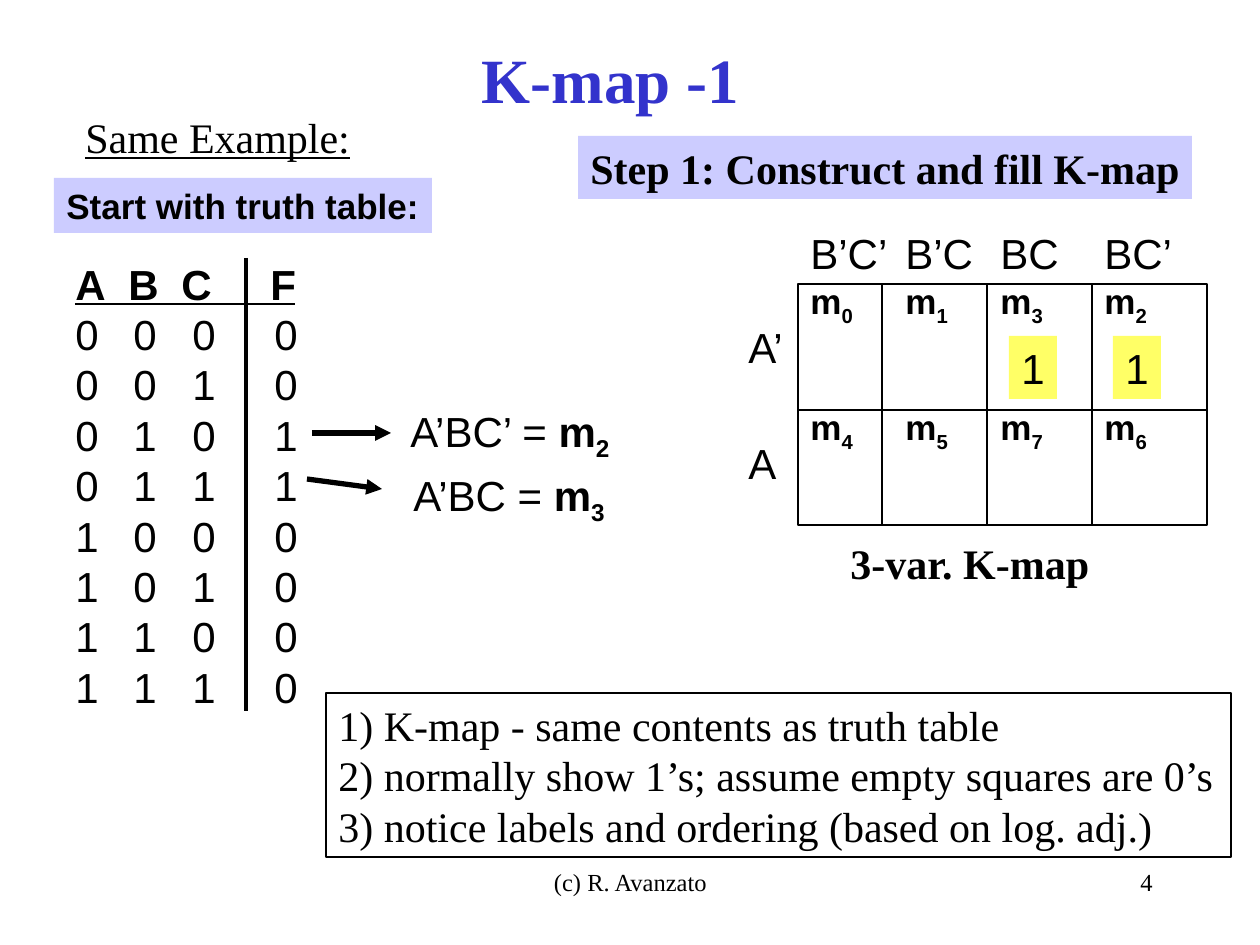
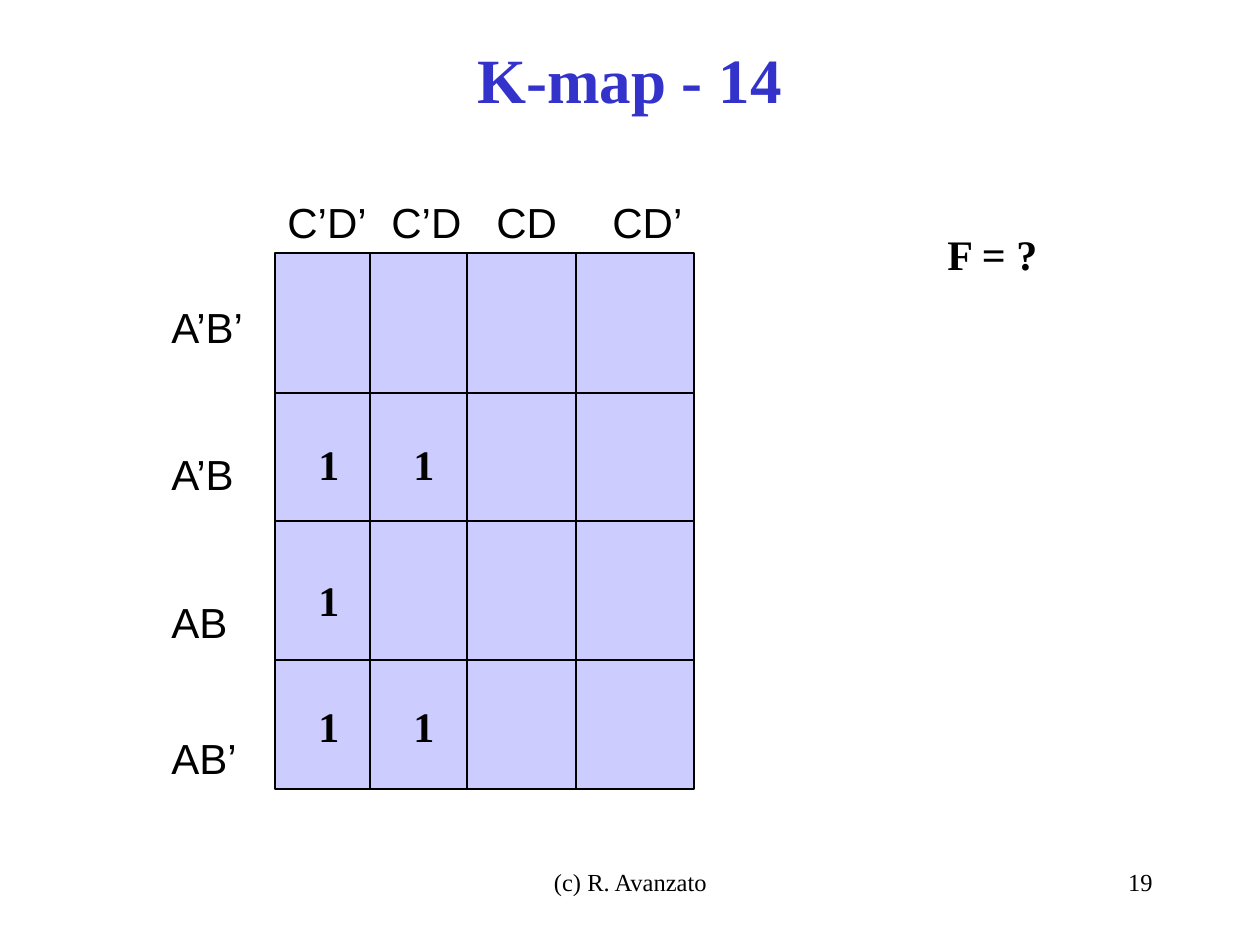
from lxml import etree
from pptx import Presentation
from pptx.dml.color import RGBColor
from pptx.enum.shapes import MSO_CONNECTOR, MSO_SHAPE
from pptx.enum.text import MSO_ANCHOR, MSO_AUTO_SIZE, PP_ALIGN
from pptx.oxml.ns import qn
from pptx.util import Emu, Pt

PIXEL = 914400 / 126
BLANK_LAYOUT = 6

BLACK = RGBColor(0x00, 0x00, 0x00)
TITLE_BLUE = RGBColor(0x33, 0x33, 0xCC)
LAVENDER = RGBColor(0xCC, 0xCC, 0xFF)
YELLOW = RGBColor(0xFF, 0xFF, 0x66)

SERIF = "Times New Roman"
SANS = "Arial"
THIN = 0.74
LINE_PITCH = 1.2
LABEL_HEIGHT = 63

LEFT, CENTER, RIGHT = PP_ALIGN.LEFT, PP_ALIGN.CENTER, PP_ALIGN.RIGHT
MIDDLE = MSO_ANCHOR.MIDDLE
FIT_SHAPE = MSO_AUTO_SIZE.SHAPE_TO_FIT_TEXT
RECTANGLE = MSO_SHAPE.RECTANGLE
STRAIGHT = MSO_CONNECTOR.STRAIGHT


def px(length):
    return Emu(round(length * PIXEL))


# Text

def style_paragraph(para, size=24, face=SANS, bold=False, underline=False,
                    color=BLACK, align=LEFT):
    para.alignment = align
    para.line_spacing = Pt(size * LINE_PITCH)
    font = para.font
    font.size, font.name = Pt(size), face
    font.bold, font.underline = bold, underline
    font.color.rgb = color


def write_lines(box, text, **style):
    """Fill a box that is as large as its text, one paragraph a line."""
    frame = box.text_frame
    frame.text = text
    frame.word_wrap = False
    frame.auto_size = FIT_SHAPE
    for para in frame.paragraphs:
        style_paragraph(para, **style)
    return frame


def add_label(page, text, left, top, width, height=LABEL_HEIGHT, **style):
    box = page.shapes.add_textbox(px(left), px(top), px(width), px(height))
    return write_lines(box, text, **style)


def add_minterm(page, prefix, index, left, top, width, size=24):
    """Write an optional expression, then a bold m with its index below."""
    para = add_label(page, prefix, left, top, width, 71 if prefix else 60,
                     size=size).paragraphs[0]
    for text in ("m", str(index)):
        span = para.add_run()
        span.text = text
        span.font.bold = True
    span._r.get_or_add_rPr().set("baseline", "-25000")


def add_tab_stops(para, stops):
    tabs = etree.SubElement(para._p.get_or_add_pPr(), qn("a:tabLst"))
    for stop in stops:
        etree.SubElement(tabs, qn("a:tab"), pos=str(px(stop)), algn="l")
    # The schema wants tab stops ahead of the default font
    para._p.pPr.find(qn("a:defRPr")).addprevious(tabs)


# Shapes and lines

def add_rectangle(page, left, top, width, height, fill=None, line=None):
    shape = page.shapes.add_shape(RECTANGLE, px(left), px(top),
                                  px(width), px(height))
    shape.shadow.inherit = False
    if fill is None:
        shape.fill.background()
    else:
        shape.fill.solid()
        shape.fill.fore_color.rgb = fill
    if line is None:
        shape.line.fill.background()
    else:
        shape.line.color.rgb = line
        shape.line.width = Pt(THIN)
    return shape


def add_line(page, x1, y1, x2, y2, weight=THIN, arrow=False):
    line = page.shapes.add_connector(STRAIGHT, px(x1), px(y1), px(x2), px(y2))
    line.line.color.rgb = BLACK
    line.line.width = Pt(weight)
    if arrow:
        etree.SubElement(line.line._get_or_add_ln(), qn("a:tailEnd"),
                         type="triangle")
    etree.SubElement(line._element.spPr, qn("a:effectLst"))


def add_grid(page, columns, rows, fill=None):
    """Draw a frame and its inner lines from the lists of edges."""
    left, right, top, bottom = columns[0], columns[-1], rows[0], rows[-1]
    add_rectangle(page, left, top, right - left, bottom - top, fill, BLACK)
    for y in rows[1:-1]:
        add_line(page, left, y, right, y)
    for x in columns[1:-1]:
        add_line(page, x, top, x, bottom)


# Shared page

def add_page(deck, title, number, title_left):
    page = deck.slides.add_slide(deck.slide_layouts[BLANK_LAYOUT])
    for text, left, top, width, height, style in (
            (title, title_left, 0, 1071, 157,
             dict(size=36, bold=True, color=TITLE_BLUE, align=CENTER)),
            ("(c) R. Avanzato", 431, 861, 399, 63,
             dict(size=14, align=CENTER)),
            (str(number), 903, 861, 262, 63, dict(size=14, align=RIGHT))):
        box = page.shapes.add_textbox(px(left), px(top), px(width), px(height))
        frame = box.text_frame
        frame.word_wrap = True
        frame.text = text
        if top == 0:
            frame.vertical_anchor = MIDDLE
        style_paragraph(frame.paragraphs[0], face=SERIF, **style)
    return page


# Slide 1

def add_truth_table(page):
    rows = ["A\tB\tC\tF"]
    for number in range(8):
        a, b, c = f"{number:03b}"
        rows.append(f"{a}\t{b}\t{c}\t{int(number in (2, 3))}")
    frame = add_label(page, "\n".join(rows), 63, 252, 270, 466)
    header, *body = frame.paragraphs
    header.font.bold = True
    add_tab_stops(header, (53, 106, 195))
    for para in body:
        add_tab_stops(para, (58, 117, 199))
    # Rules below the header and before the output column
    add_line(page, 75, 304, 295, 304, 1.5)
    add_line(page, 246, 258, 246, 711, 2.24)


def add_three_variable_map(page):
    rows = (284, 410, 525)
    add_grid(page, (798, 882, 987, 1092, 1207), rows)
    cell_lefts = (798, 893, 988, 1092)
    for top, indexes in zip(rows, ((0, 1, 3, 2), (4, 5, 7, 6))):
        for left, index in zip(cell_lefts, indexes):
            add_minterm(page, "", index, left, top - 5, 76, size=20)
    for text, left in zip(("B’C’", "B’C", "BC", "BC’"), cell_lefts):
        add_label(page, text, left, 221, 112)
    add_label(page, "A’", 736, 315, 70)
    add_label(page, "A", 736, 431, 60)
    for left in cell_lefts[2:]:
        one = add_rectangle(page, left + 21, 336, 48, LABEL_HEIGHT, YELLOW)
        write_lines(one, "1")
    add_label(page, "3-var. K-map", 838, 531, 275, face=SERIF, bold=True)


def build_first_map(deck):
    page = add_page(deck, "K-map -1", 4, 75)
    add_label(page, "Same Example:", 73, 105, 300, face=SERIF, underline=True)
    start = add_rectangle(page, 54, 178, 378, 55, LAVENDER)
    write_lines(start, "Start with truth table:", size=20, bold=True)
    add_truth_table(page)

    # Rows of the table that give 1
    add_minterm(page, "A’BC’ = ", 2, 398, 406, 240)
    add_minterm(page, "A’BC = ", 3, 401, 470, 230)
    add_line(page, 312, 433, 391, 433, 3, arrow=True)
    add_line(page, 307, 479, 382, 489, 3, arrow=True)

    step = add_rectangle(page, 578, 136, 614, LABEL_HEIGHT, LAVENDER)
    write_lines(step, "Step 1: Construct and fill K-map", face=SERIF,
                bold=True)
    add_three_variable_map(page)

    remarks = add_rectangle(page, 326, 693, 905, 164, line=BLACK)
    write_lines(remarks, "1) K-map - same contents as truth table\n"
                "2) normally show 1’s; assume empty squares are 0’s\n"
                "3) notice labels and ordering (based on log. adj.)",
                face=SERIF)


# Slide 2

def build_four_variable_map(deck):
    page = add_page(deck, "K-map - 14", 19, 94)
    columns = (275, 370, 467, 576, 694)
    for rows in ((253, 393, 521), (521, 660, 789)):
        add_grid(page, columns, rows, LAVENDER)
    for text, left in (("C’D’", 275), ("C’D", 379), ("CD", 484), ("CD’", 600)):
        add_label(page, text, left, 190, 115)
    for text, top in (("A’B’", 295), ("A’B", 442), ("AB", 590), ("AB’", 726)):
        add_label(page, text, 159, top, 110)
    for left, top in ((306, 432), (401, 432), (306, 568),
                      (306, 694), (401, 694)):
        add_label(page, "1", left, top, 50, face=SERIF, bold=True)
    add_label(page, "F = ?", 935, 222, 125, face=SERIF, bold=True)


def main():
    deck = Presentation()
    deck.slide_width, deck.slide_height = px(1260), px(945)
    build_first_map(deck)
    build_four_variable_map(deck)
    deck.save("out.pptx")


main()
